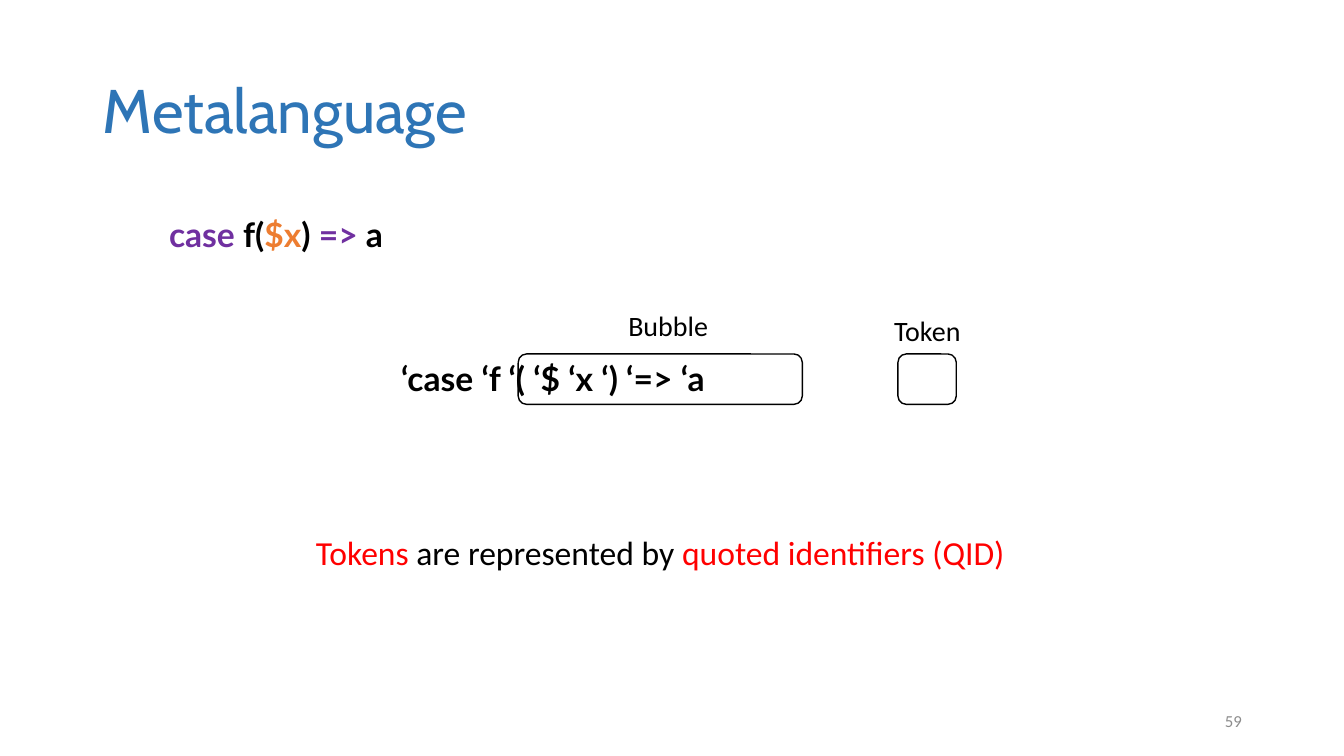
from dataclasses import dataclass

import pptx
import pptx.dml.color
import pptx.enum.shapes
import pptx.enum.text
import pptx.util

Cm = pptx.util.Cm
Pt = pptx.util.Pt
ALIGN = pptx.enum.text.PP_ALIGN
ANCHOR = pptx.enum.text.MSO_ANCHOR


@dataclass(frozen=True)
class Theme:
    heading: str = "2E75B6"
    ink: str = "000000"
    keyword: str = "7030A0"
    variable: str = "ED7D31"
    emphasis: str = "FF0000"
    muted: str = "8C8C8C"
    title_size: int = 44
    body_size: int = 24
    label_size: int = 20
    footer_size: int = 12
    title_font: str = "Cabin"
    code_font: str = "Lato"
    body_font: str = "Calibri"


THEME = Theme()


def rgb(color):
    return pptx.dml.color.RGBColor.from_string(color)


def apply_format(target, values):
    for attribute, value in values.items():
        setattr(target, attribute, value)


def add_text(slide, box, runs, font, size, bold=False,
             align=ALIGN.LEFT, anchor=ANCHOR.TOP, spacing=1.0):
    frame = slide.shapes.add_textbox(*map(Cm, box)).text_frame
    apply_format(frame, {"word_wrap": True, "vertical_anchor": anchor})
    line = frame.paragraphs[0]
    apply_format(line, {"alignment": align, "line_spacing": spacing})
    for words, color in runs:
        run = line.add_run()
        run.text = words
        apply_format(run.font, {"name": font, "size": Pt(size), "bold": bold})
        run.font.color.rgb = rgb(color)


def add_code(slide, box, runs):
    add_text(slide, box, runs, THEME.code_font, THEME.body_size, bold=True)


def add_label(slide, left, top, words):
    add_text(slide, (left, top, 5.18, 1.12), [(words, THEME.ink)],
             THEME.body_font, THEME.label_size, align=ALIGN.CENTER)


def add_outline(slide, left, width):
    outline = slide.shapes.add_shape(
        pptx.enum.shapes.MSO_SHAPE.ROUNDED_RECTANGLE,
        *map(Cm, (left, 8.92, width, 1.27)))
    outline.shadow.inherit = False
    outline.fill.background()
    outline.line.color.rgb = rgb(THEME.ink)
    outline.line.width = Pt(1)


def main():
    deck = pptx.Presentation()
    apply_format(deck, {"slide_width": Cm(33.87), "slide_height": Cm(19.05)})
    slide = deck.slides.add_slide(deck.slide_layouts[6])

    add_text(slide, (2.34, 1.02, 29.21, 3.68),
             [("Metalanguage", THEME.heading)], THEME.title_font,
             THEME.title_size, anchor=ANCHOR.MIDDLE, spacing=0.9)
    add_text(slide, (23.93, 17.65, 7.62, 1.02), [("59", THEME.muted)],
             THEME.body_font, THEME.footer_size,
             align=ALIGN.RIGHT, anchor=ANCHOR.MIDDLE)

    add_code(slide, (4.01, 5.26, 8.79, 1.27), [
        ("case", THEME.keyword), (" f(", THEME.ink), ("$x", THEME.variable),
        (") ", THEME.ink), ("=> ", THEME.keyword), ("a", THEME.ink)])
    add_code(slide, (9.86, 8.89, 14.83, 1.27),
             [("‘case ‘f ‘( ‘$ ‘x ‘) ‘=> ‘a", THEME.ink)])

    add_outline(slide, 13.06, 7.16)
    add_label(slide, 14.25, 7.65, "Bubble")
    add_outline(slide, 22.63, 1.47)
    add_label(slide, 20.78, 7.77, "Token")

    add_text(slide, (3.66, 13.28, 25.96, 1.27), [
        ("Tokens", THEME.emphasis), (" are represented by ", THEME.ink),
        ("quoted identifiers (QID)", THEME.emphasis)],
        THEME.body_font, THEME.body_size, align=ALIGN.CENTER)

    deck.save("out.pptx")


if __name__ == "__main__":
    main()
